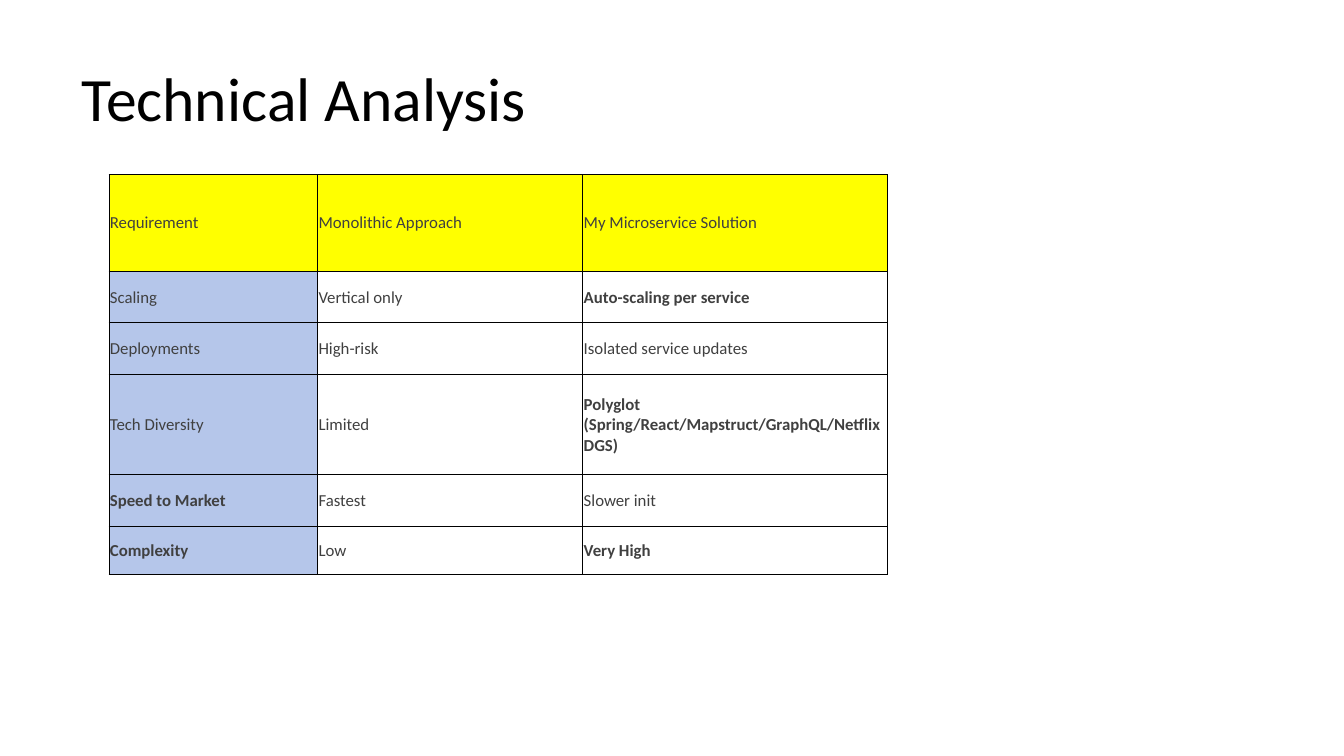
"""Build the Technical Analysis slide with its comparison table."""
from lxml.etree import SubElement
from pptx import Presentation
from pptx.dml.color import RGBColor
from pptx.enum.text import MSO_ANCHOR as Anchor
from pptx.oxml.ns import qn
from pptx.util import Inches, Pt

BLACK = RGBColor(0x00, 0x00, 0x00)
GREY = RGBColor(0x40, 0x40, 0x40)
YELLOW = RGBColor(0xFF, 0xFF, 0x00)
BLUE = RGBColor(0xB5, 0xC6, 0xEA)

COLUMN_WIDTHS = [2.07, 2.63, 3.02]
ROW_HEIGHTS = [0.96, 0.51, 0.51, 1, 0.51, 0.48]
COMPARISON = [
    ["Requirement", "Monolithic Approach", "My Microservice Solution"],
    ["Scaling", "Vertical only", "Auto-scaling per service"],
    ["Deployments", "High-risk", "Isolated service updates"],
    ["Tech Diversity", "Limited", "Polyglot (Spring/React/Mapstruct/GraphQL/Netflix DGS)"],
    ["Speed to Market", "Fastest", "Slower init"],
    ["Complexity", "Low", "Very High"],
]
BOLD_CELLS = {(1, 2), (3, 2), (4, 0), (5, 0), (5, 2)}
CELL_FORMAT = {
    "vertical_anchor": Anchor.MIDDLE,
    "margin_left": Inches(0.01),
    "margin_right": Inches(0.01),
    "margin_top": Inches(0.01),
    "margin_bottom": 0,
}


def style_font(font, size, color, bold=False):
    for name, value in {"name": "Calibri", "size": Pt(size), "bold": bold}.items():
        setattr(font, name, value)
    font.color.rgb = color


def add_borders(cell):
    properties = cell._tc.get_or_add_tcPr()
    for side in ("a:lnL", "a:lnR", "a:lnT", "a:lnB"):
        line = SubElement(properties, qn(side), w=str(Pt(0.5)))
        fill = SubElement(line, qn("a:solidFill"))
        SubElement(fill, qn("a:srgbClr"), val=str(BLACK))


prs = Presentation()
prs.slide_width, prs.slide_height = Inches(13.33), Inches(7.5)
slide = prs.slides.add_slide(prs.slide_layouts[6])

heading = slide.shapes.add_textbox(Inches(0.71), Inches(0.28), Inches(11.5), Inches(1.45)).text_frame
heading.word_wrap = True
heading.vertical_anchor = Anchor.MIDDLE
heading.text = "Technical Analysis"
heading.paragraphs[0].line_spacing = 0.9
style_font(heading.paragraphs[0].runs[0].font, 44, BLACK)

table = slide.shapes.add_table(
    len(ROW_HEIGHTS), len(COLUMN_WIDTHS), Inches(1.08), Inches(1.73),
    Inches(sum(COLUMN_WIDTHS)), Inches(sum(ROW_HEIGHTS)),
).table
table.first_row = table.horz_banding = False
for column, width in zip(table.columns, COLUMN_WIDTHS):
    column.width = Inches(width)
for row, height in zip(table.rows, ROW_HEIGHTS):
    row.height = Inches(height)

for r, entries in enumerate(COMPARISON):
    for c, entry in enumerate(entries):
        cell = table.cell(r, c)
        for name, value in CELL_FORMAT.items():
            setattr(cell, name, value)
        cell.text = entry
        style_font(cell.text_frame.paragraphs[0].runs[0].font, 12, GREY, (r, c) in BOLD_CELLS)
        add_borders(cell)
        if r == 0 or c == 0:
            cell.fill.solid()
            cell.fill.fore_color.rgb = YELLOW if r == 0 else BLUE
        else:
            cell.fill.background()

prs.save("out.pptx")
